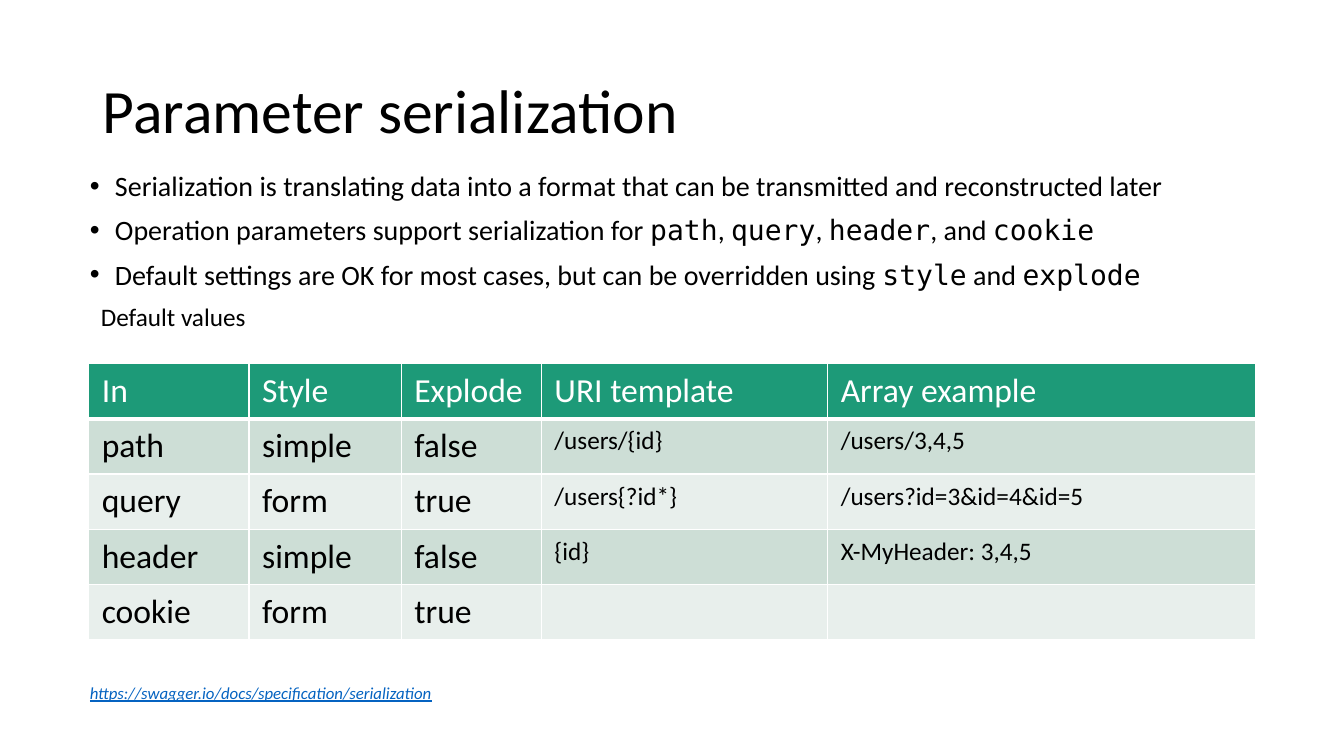
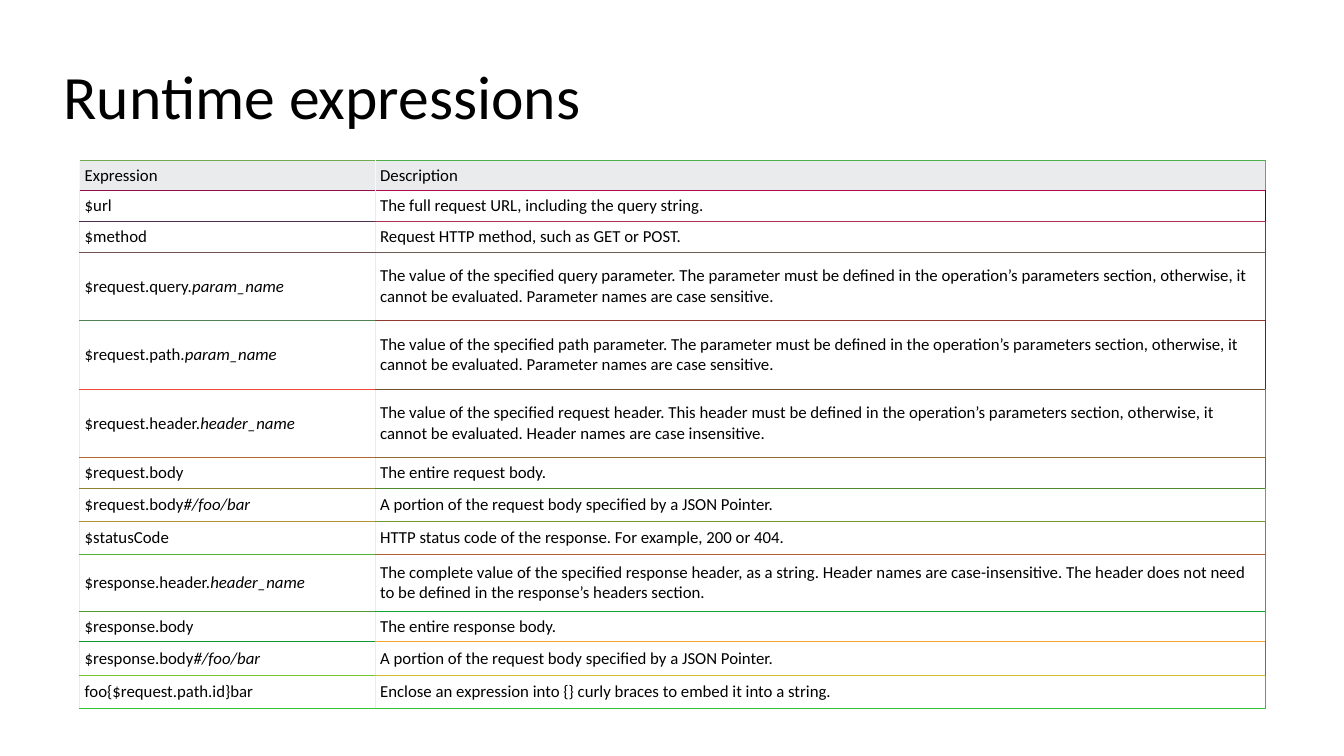
from lxml import etree
from pptx import Presentation
from pptx import util as u
from pptx.dml.color import RGBColor
from pptx.enum import text
from pptx.oxml import ns

PX = 9144  # 100 px to the inch
SANS, MONO = "Calibri", "DejaVu Sans Mono"
BLACK = RGBColor(0x00, 0x00, 0x00)
WHITE = RGBColor(0xFF, 0xFF, 0xFF)
LINK_BLUE = RGBColor(0x05, 0x63, 0xC1)
GREEN = RGBColor(0x1D, 0x9A, 0x78)
BANDS = (RGBColor(0xCD, 0xDE, 0xD6), RGBColor(0xE8, 0xEF, 0xEC))
HEADER_GREY = RGBColor(0xEA, 0xEB, 0xEC)
PALE_GREY = RGBColor(0xF7, 0xF8, 0xF8)
HEADER_TOPS = (RGBColor(0x70, 0xAB, 0x4F), RGBColor(0x50, 0xAE, 0x4F))

BULLETS = [
    ("Serialization is translating data into a format that can be "
     "transmitted and reconstructed later",),
    ("Operation parameters support serialization for ", "path", ", ", "query",
     ", ", "header", ", and ", "cookie"),
    ("Default settings are OK for most cases, but can be overridden using ",
     "style", " and ", "explode"),
]
DEFAULTS = [
    ("In", "Style", "Explode", "URI template", "Array example"),
    ("path", "simple", "false", "/users/{id}", "/users/3,4,5"),
    ("query", "form", "true", "/users{?id*}", "/users?id=3&id=4&id=5"),
    ("header", "simple", "false", "{id}", "X-MyHeader: 3,4,5"),
    ("cookie", "form", "true", "", ""),
]
# Height, expression pieces, description, then the line colours:
# below the expression, below the description, right of the description.
EXPRESSIONS = [
    (30, ("Expression",), "Description", "900C50", "B00D50", "10D74F"),
    (30, ("$url",), "The full request URL, including the query string.",
     "502E50", "B02F50", "300D50"),
    (30, ("$method",), "Request HTTP method, such as GET or POST.",
     "705050", "705E50", "703550"),
    (68, ("$request.query.", "param_name"),
     "The value of the specified query parameter. The parameter must be "
     "defined in the operation’s parameters section, otherwise, it cannot be "
     "evaluated. Parameter names are case sensitive.",
     "50834F", "903931", "306050"),
    (68, ("$request.path.", "param_name"),
     "The value of the specified path parameter. The parameter must be "
     "defined in the operation’s parameters section, otherwise, it cannot be "
     "evaluated. Parameter names are case sensitive.",
     "F04831", "705031", "303A31"),
    (68, ("$request.header.", "header_name"),
     "The value of the specified request header. This header must be "
     "defined in the operation’s parameters section, otherwise, it cannot be "
     "evaluated. Header names are case insensitive.",
     "B06631", "906B31", "F05031"),
    (30, ("$request.body",), "The entire request body.",
     "908231", "508A31", "706D31"),
    (33, ("$request.body", "#/foo/bar"),
     "A portion of the request body specified by a JSON Pointer.",
     "B09631", "709B31", "B08D31"),
    (33, ("$statusCode",),
     "HTTP status code of the response. For example, 200 or 404.",
     "50B231", "B05D31", "509C31"),
    (56, ("$response.header.", "header_name"),
     "The complete value of the specified response header, as a string. "
     "Header names are case-insensitive. The header does not need to be "
     "defined in the response’s headers section.",
     "509B31", "10A731", "D05A31"),
    (30, ("$response.body",), "The entire response body.",
     "109531", "F0A631", "50AC31"),
    (33, ("$response.body", "#/foo/bar"),
     "A portion of the request body specified by a JSON Pointer.",
     "70C530", "D0C030", "10A731"),
    (33, ("foo{$request.path.id}bar",),
     "Enclose an expression into {} curly braces to embed it into a string.",
     "30C530", "30C230", "30C130"),
]


def add_run(p, value, size, color=BLACK, font=SANS, italic=False):
    r = p.add_run()
    r.text = value
    r.font.size = u.Pt(size)
    r.font.name = font
    r.font.color.rgb = color
    r.font.italic = italic
    return r


def format_paragraph(p, bullet=None, left=0, hang=0, spacing=0.9, before=0):
    pPr = p._p.get_or_add_pPr()
    pPr.set("marL", str(left * PX))
    pPr.set("indent", str(-hang * PX))
    if bullet:
        etree.SubElement(pPr, ns.qn("a:buChar")).set("char", bullet)
    else:
        etree.SubElement(pPr, ns.qn("a:buNone"))
    p.alignment = text.PP_ALIGN.LEFT
    p.line_spacing = spacing
    p.space_before = u.Pt(before)
    p.space_after = u.Pt(0)


def place(sp, left, top, width, height, anchor=text.MSO_ANCHOR.TOP):
    """Move a placeholder and return its text frame."""
    sp.left, sp.top, sp.width, sp.height = (
        v * PX for v in (left, top, width, height))
    tf = sp.text_frame
    tf.word_wrap = True
    tf.auto_size = text.MSO_AUTO_SIZE.NONE
    tf.vertical_anchor = anchor
    return tf


def set_title(slide, value, left, top):
    tf = place(slide.shapes.title, left, top, 1150, 145,
               text.MSO_ANCHOR.MIDDLE)
    p = tf.paragraphs[0]
    format_paragraph(p)
    add_run(p, value, 44)


def set_bullets(sp):
    tf = place(sp, 79, 166, 1176, 472)
    for i, pieces in enumerate(BULLETS):
        p = tf.add_paragraph() if i else tf.paragraphs[0]
        format_paragraph(p, "•", 25, 25, before=10 if i else 0)
        for j, piece in enumerate(pieces):
            add_run(p, piece, 20, font=MONO if j % 2 else SANS)
    p = tf.add_paragraph()
    format_paragraph(p, left=11, before=10)
    add_run(p, "Default values", 18)


def set_source(sp, address):
    p = place(sp, 79, 672, 1176, 17).paragraphs[0]
    format_paragraph(p, spacing=1.0)
    add_run(p, address, 12, LINK_BLUE, italic=True).font.underline = True


def add_table(slide, left, top, widths, heights):
    table = slide.shapes.add_table(
        len(heights), len(widths), left * PX, top * PX,
        sum(widths) * PX, sum(heights) * PX).table
    table.first_row = table.horz_banding = False
    for column, width in zip(table.columns, widths):
        column.width = width * PX
    for row, height in zip(table.rows, heights):
        row.height = height * PX
    return table


def format_cell(cell, fill, inset_x, inset_y, borders):
    """Set insets, fill and borders, given as (colour, points) for L, R, T, B."""
    cell.margin_left = cell.margin_right = inset_x * PX
    cell.margin_top = cell.margin_bottom = inset_y * PX
    tcPr = cell._tc.get_or_add_tcPr()
    for side, (color, points) in zip("LRTB", borders):
        ln = etree.SubElement(tcPr, ns.qn(f"a:ln{side}"), w=str(u.Pt(points)))
        solid = etree.SubElement(ln, ns.qn("a:solidFill"))
        etree.SubElement(solid, ns.qn("a:srgbClr"), val=str(color))
    cell.fill.solid()
    cell.fill.fore_color.rgb = fill


def add_defaults_table(slide):
    table = add_table(slide, 88, 361, (159, 151, 139, 284, 424),
                      [54] * len(DEFAULTS))
    for i, row in enumerate(DEFAULTS):
        fill = BANDS[(i - 1) % 2] if i else GREEN
        above, below = 3 if i == 1 else 1, 1 if i else 3
        for j, value in enumerate(row):
            cell = table.cell(i, j)
            format_cell(cell, fill, 13, 7,
                        [(WHITE, w) for w in (1, 1, above, below)])
            if value:
                add_run(cell.text_frame.paragraphs[0], value,
                        18 if i and j > 2 else 24, BLACK if i else WHITE)


def add_expressions_table(slide):
    table = add_table(slide, 79, 159, (293, 883),
                      [row[0] for row in EXPRESSIONS])
    tops = HEADER_TOPS
    for i, (_, expression, description, *lines) in enumerate(EXPRESSIONS):
        *bottoms, right = lines
        fill, side = (WHITE, HEADER_GREY) if i else (HEADER_GREY, PALE_GREY)
        columns = zip((expression, (description,)), (side, right),
                      tops, bottoms)
        for j, (pieces, right_line, top, bottom) in enumerate(columns):
            cell = table.cell(i, j)
            format_cell(cell, fill, 5, 5, [
                (color, 0.75) for color in (side, right_line, top, bottom)])
            cell.vertical_anchor = text.MSO_ANCHOR.MIDDLE
            p = cell.text_frame.paragraphs[0]
            for k, piece in enumerate(pieces):
                add_run(p, piece, 12, italic=k == 1)
        tops = bottoms


def main():
    prs = Presentation()
    prs.slide_width, prs.slide_height = 1333 * PX, 750 * PX

    slide = prs.slides.add_slide(prs.slide_layouts.get_by_name("Two Content"))
    set_title(slide, "Parameter serialization", 92, 40)
    set_bullets(slide.placeholders[1])
    set_source(slide.placeholders[2],
               "https://swagger.io/docs/specification/serialization")
    add_defaults_table(slide)

    slide = prs.slides.add_slide(prs.slide_layouts.get_by_name("Title Only"))
    set_title(slide, "Runtime expressions", 53, 26)
    add_expressions_table(slide)

    prs.save("out.pptx")


if __name__ == "__main__":
    main()
